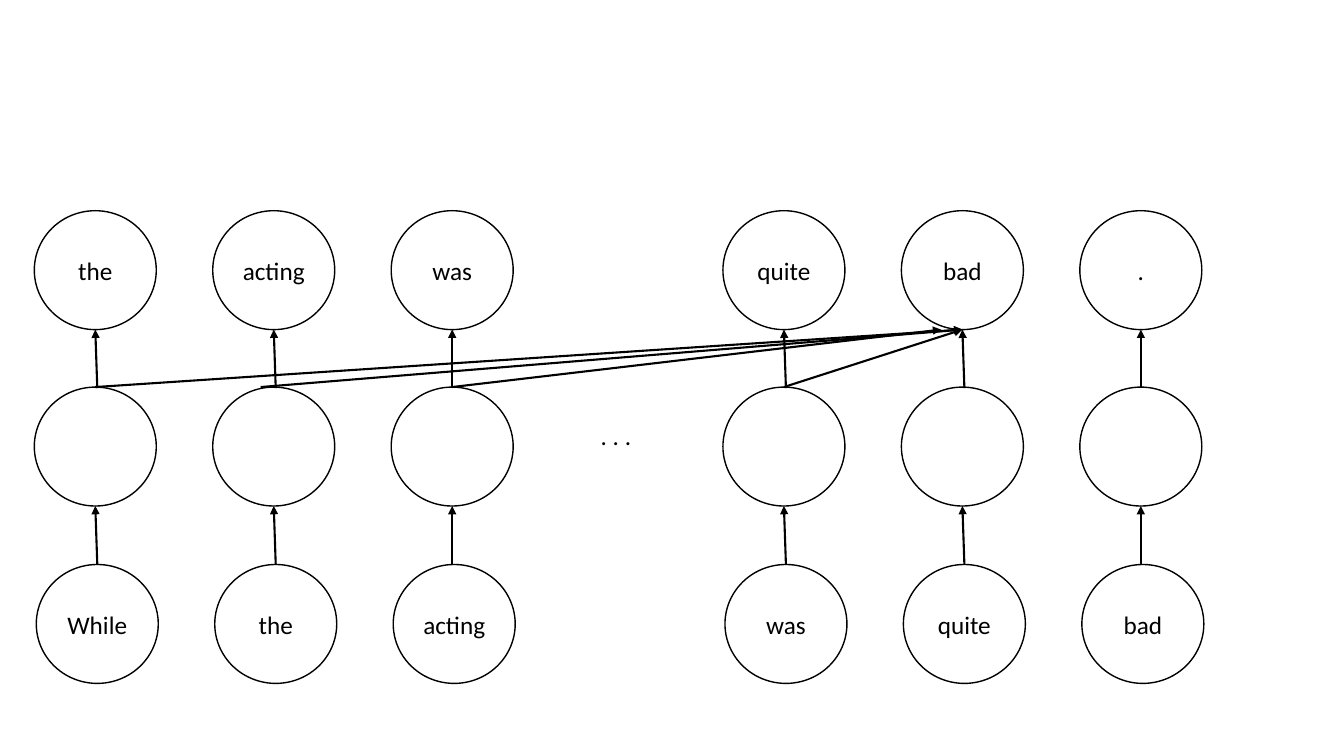
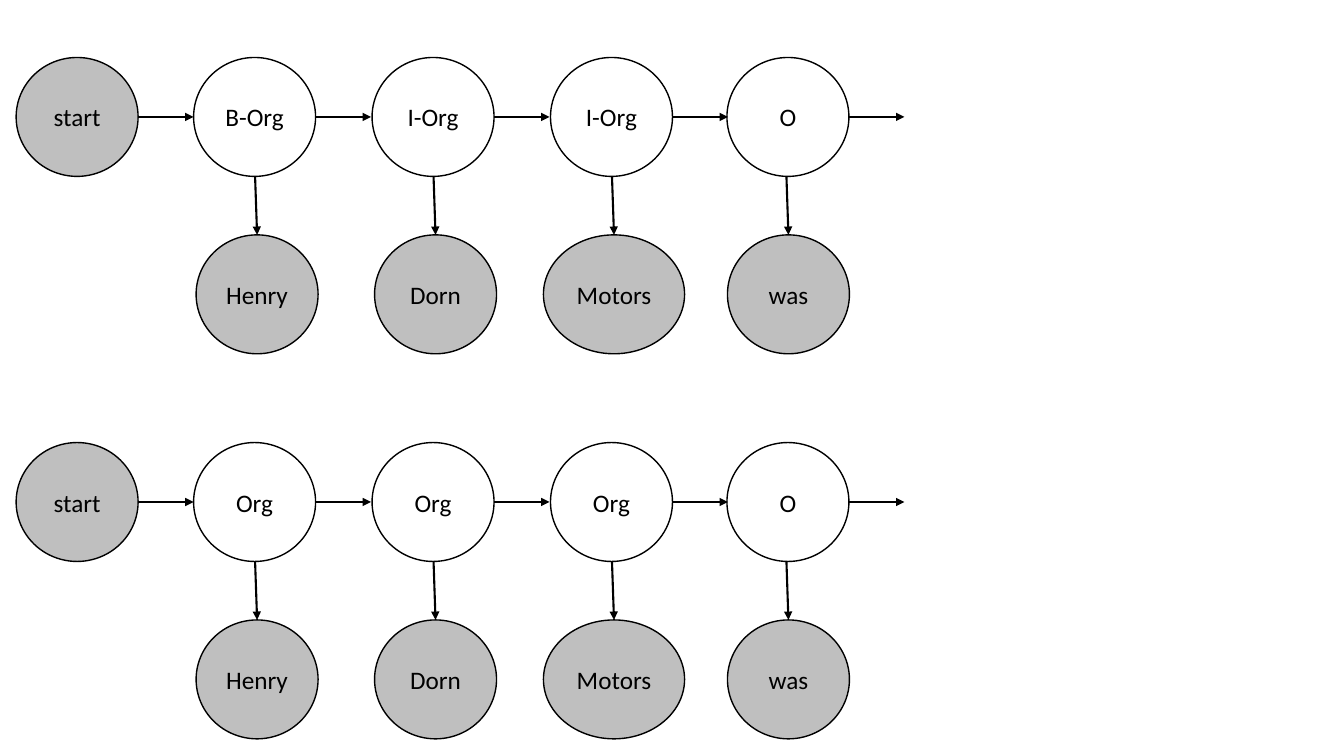
from dataclasses import dataclass
from lxml.etree import SubElement
from pptx import Presentation
from pptx.dml.color import RGBColor
from pptx.enum.shapes import MSO_CONNECTOR as Connector, MSO_SHAPE as Preset
from pptx.enum.text import MSO_ANCHOR as Anchor, MSO_AUTO_SIZE as AutoSize, PP_ALIGN as Align
from pptx.oxml.ns import qn
from pptx.util import Inches, Pt

# Content
INPUT_WORDS = ["While", "the", "acting", "was", "quite", "bad"]
OUTPUT_WORDS = ["the", "acting", "was", "quite", "bad", "."]
ELLIPSIS = ". . ."
TAGGED_WORDS = ["Henry", "Dorn", "Motors", "was"]
TAG_CHAINS = [
    ["start", "B-Org", "I-Org", "I-Org", "O"],
    ["start", "Org", "Org", "Org", "O"],
]


@dataclass(frozen=True)
class Theme:
    """Colours, type and line weights shared by both slides."""
    ink: RGBColor = RGBColor(0, 0, 0)
    paper: RGBColor = RGBColor(255, 255, 255)
    observed: RGBColor = RGBColor(0xBF, 0xBF, 0xBF)
    font: str = "Calibri"
    size: float = 18
    outline: float = 1
    arrow: float = 1.5


THEME = Theme()

# Layout in inches
NODE_W, NODE_H, WIDE_NODE_W = 1.21, 1.18, 1.4
LEAN = 0.02
COLUMN_STEP = 1.77
GROUP_SIZE, GROUP_LEFTS = 3, (0.34, 7.17)
OUTPUT_TOP, HIDDEN_TOP, INPUT_TOP = 2.09, 3.84, 5.6
FAN_TARGET = 4
FAN_STARTS = {3: 0, 2: 0, 1: -0.13, 0: 0}
FAN_END_SHIFTS = {2: -0.21}
CHAIN_TOPS = (0.57, 4.39)
TAG_LEFTS = (0.16, 1.92, 3.69, 5.46, 7.21)
WORD_CENTRES = (2.55, 4.32, 6.09, 7.82)
WORD_DROP = 1.76
TAG_GAP = 0.55


def apply(target, values):
    """Set every attribute named in a dict of format values."""
    for name, value in values.items():
        setattr(target, name, value)


def write(frame, text, align):
    """Write one line of text in the theme's type."""
    apply(frame, {"text": text, "word_wrap": False})
    paragraph = frame.paragraphs[0]
    paragraph.alignment = align
    apply(paragraph.font, {"name": THEME.font, "size": Pt(THEME.size)})
    paragraph.font.color.rgb = THEME.ink


def add_node(slide, centre, top, text="", fill=None, width=NODE_W):
    """Draw an outlined ellipse, unfilled unless a fill is given."""
    node = slide.shapes.add_shape(
        Preset.OVAL, Inches(centre - width / 2), Inches(top), Inches(width), Inches(NODE_H))
    node.shadow.inherit = False
    if fill is None:
        node.fill.background()
    else:
        node.fill.solid()
        node.fill.fore_color.rgb = fill
    node.line.color.rgb = THEME.ink
    node.line.width = Pt(THEME.outline)
    if text:
        write(node.text_frame, text, Align.CENTER)
        node.text_frame.vertical_anchor = Anchor.MIDDLE


def add_arrow(slide, start, end):
    """Draw a straight line with a triangle at its end."""
    arrow = slide.shapes.add_connector(
        Connector.STRAIGHT, *(Inches(value) for value in (*start, *end)))
    arrow.line.color.rgb = THEME.ink
    arrow.line.width = Pt(THEME.arrow)
    properties = arrow.line._get_or_add_ln()
    SubElement(properties, qn("a:tailEnd"), type="triangle")
    SubElement(properties.getparent(), qn("a:effectLst"))


def build_language_model(slide):
    """Draw the three layers, their links and the fan into one output word."""
    centres = [left + NODE_W / 2 + COLUMN_STEP * column
               for left in GROUP_LEFTS for column in range(GROUP_SIZE)]
    output_bottom, hidden_bottom = OUTPUT_TOP + NODE_H, HIDDEN_TOP + NODE_H
    for index, centre in enumerate(centres):
        add_node(slide, centre + LEAN, INPUT_TOP, INPUT_WORDS[index], THEME.paper)
        add_node(slide, centre, HIDDEN_TOP)
        add_node(slide, centre, OUTPUT_TOP, OUTPUT_WORDS[index])
        last_in_group = index % GROUP_SIZE == GROUP_SIZE - 1
        foot = centre if last_in_group else centre + LEAN
        add_arrow(slide, (foot, INPUT_TOP), (centre, hidden_bottom))
        add_arrow(slide, (foot, HIDDEN_TOP + 0.01), (centre, output_bottom))

    gap = slide.shapes.add_textbox(Inches(5.86), Inches(4.12), Inches(0.56), Inches(0.4))
    write(gap.text_frame, ELLIPSIS, Align.LEFT)
    gap.text_frame.auto_size = AutoSize.SHAPE_TO_FIT_TEXT

    for index, shift in FAN_STARTS.items():
        end = centres[FAN_TARGET] + FAN_END_SHIFTS.get(index, 0)
        add_arrow(slide, (centres[index] + shift, HIDDEN_TOP), (end, output_bottom))


def build_tag_chain(slide, tags, top):
    """Draw a chain of tags with the observed word below each one."""
    middle = top + NODE_H / 2
    for index, (tag, left) in enumerate(zip(tags, TAG_LEFTS)):
        fill = THEME.observed if index == 0 else None
        add_node(slide, left + NODE_W / 2, top, tag, fill)
        right = left + NODE_W
        add_arrow(slide, (right, middle), (right + TAG_GAP, middle))
    for word, centre in zip(TAGGED_WORDS, WORD_CENTRES):
        width = WIDE_NODE_W if word == "Motors" else NODE_W
        add_node(slide, centre, top + WORD_DROP, word, THEME.observed, width)
        add_arrow(slide, (centre - LEAN, top + NODE_H), (centre, top + WORD_DROP))


def main():
    """Build both slides and save the deck."""
    deck = Presentation()
    apply(deck, {"slide_width": Inches(13.33), "slide_height": Inches(7.5)})
    blank = deck.slide_layouts[6]
    build_language_model(deck.slides.add_slide(blank))
    tagging = deck.slides.add_slide(blank)
    for tags, top in zip(TAG_CHAINS, CHAIN_TOPS):
        build_tag_chain(tagging, tags, top)
    deck.save("out.pptx")


main()
